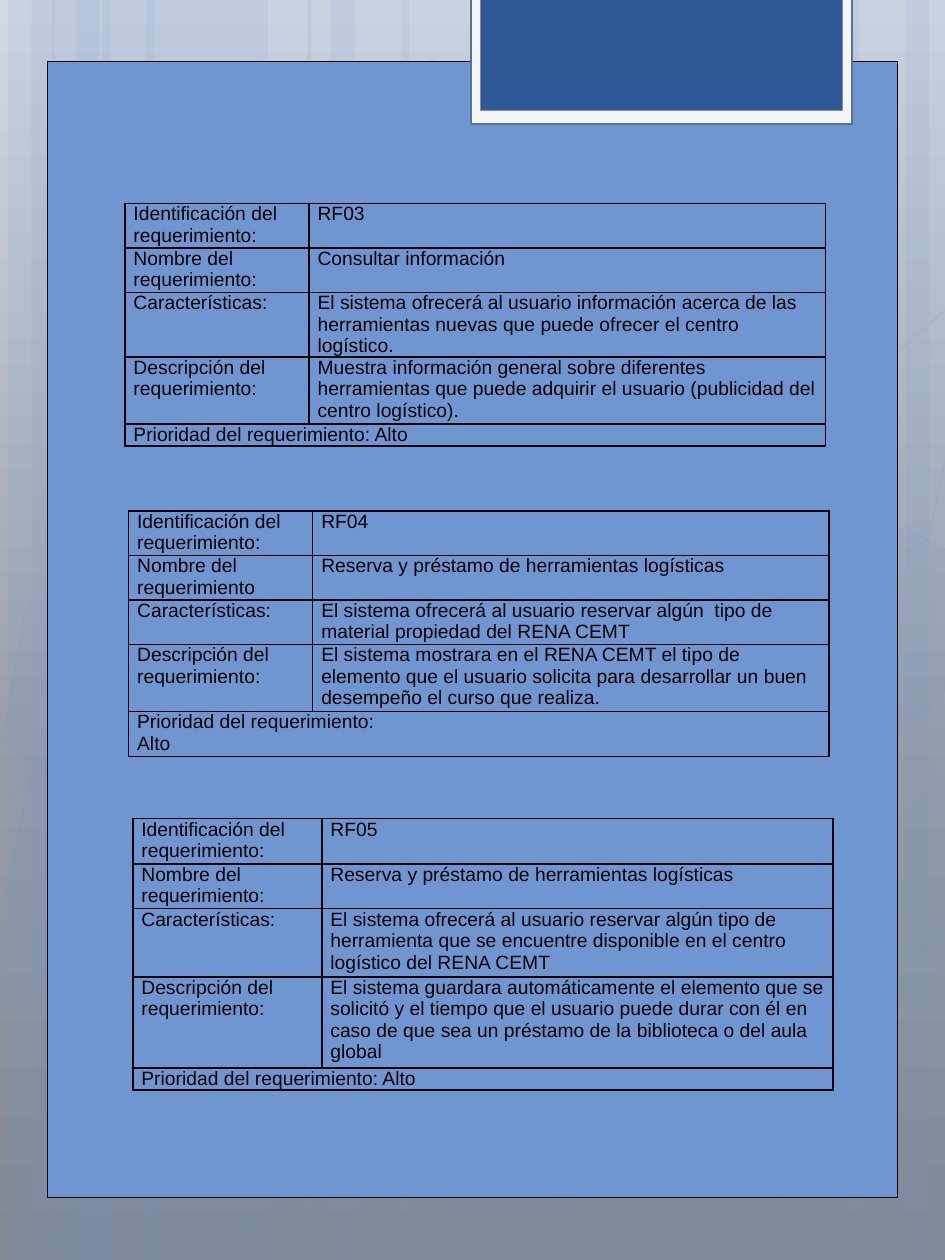
from copy import deepcopy
from lxml import etree
from pptx import Presentation
from pptx.dml.color import RGBColor as Rgb
from pptx.enum.shapes import MSO_SHAPE as Kind
from pptx.oxml import parse_xml
from pptx.oxml.ns import nsdecls, qn
from pptx.util import Pt

THEME = {
    "blue": "7096D2", "navy": "2F5897", "light": "F5F5F5", "slate": "577293",
    "ink": "000000", "font": "Arial", "size": 11,
    "back": [(0, "D2D9E2"), (0.62, "959CA5"), (1, "828992")],
}
WIDE, HIGH = 540, 720

BARS = [
    (58.5, 94.5), (4.5, 27), (18, 45), (83.5, 94.5), (29.7, 27), (43.3, 45),
    (396, 94.5), (517.5, 27), (486, 45), (229.5, 166.5), (175.5, 27), (189, 45),
]
CURVES = [
    [(4, 646), (33, 649), (62, 652), (103, 651), (143, 649), (193, 648), (247, 639),
     (302, 629), (378, 611), (428, 593), (477, 574), (528, 545), (544, 528)],
    [(4, 457), (19, 443), (35, 428), (66, 414), (96, 400), (140, 379), (188, 372),
     (235, 364), (294, 364), (353, 372), (413, 379), (511, 409), (544, 416)],
    [(3, 593), (68, 645), (133, 698), (181, 719)],
    [(4, 555), (21, 565), (37, 576), (69, 591), (101, 606), (148, 629), (192, 646),
     (238, 662), (294, 679), (339, 690), (384, 700), (432, 703), (460, 707),
     (489, 710), (496, 708), (510, 708), (524, 708), (534, 706), (544, 704)],
    [(131, 719), (140, 700), (150, 681), (163, 663), (177, 646), (194, 626), (210, 613),
     (225, 600), (234, 595), (253, 585), (274, 575), (310, 562), (328, 555),
     (347, 549), (351, 549), (367, 546), (384, 544), (410, 541), (429, 540),
     (447, 539), (479, 540), (479, 540), (479, 540), (514, 540), (514, 540),
     (524, 540), (534, 541), (539, 542), (543, 543), (543, 543), (543, 544)],
]
HEXES = [
    (180.7, 33.8, 4, 8), (267.8, 565.2, 6, 12), (5.8, 567.4, 0, 12),
    (7.9, 299.5, 7, 8), (50.4, 433.4, 0, 12), (93.6, 568.1, 0, 12),
    (51.8, 164.2, 0, 12), (406.8, 434.9, 10, 12), (450.7, 569.5, 0, 12),
    (450.7, 301, 7, 8),
]
SHARDS = [
    ([(18, 442), (27, 434), (68, 457), (52, 533), (-5, 584), (-12, 580)], 10),
    ([(500, 480), (557, 430), (560, 431), (531, 575), (526, 579), (484, 555)], 4),
    ([(500, 213), (557, 162), (561, 164), (531, 307), (525, 312), (484, 288)], 0),
]
PANELS = [
    (27, 35, 486, 649.5, "blue", "ink", 0.5),
    (269.3, -2, 217.4, 73, "light", "slate", 1.25),
    (274.5, -2, 207, 65.3, "navy", None, 0),
]
ID, NAME = "Identificación del requerimiento:", "Nombre del requerimiento:"
TRAIT, ABOUT = "Características:", "Descripción del requerimiento:"
RANK = "Prioridad del requerimiento:"
TABLES = [
    (71.4, 116.2, (105.2, 295), (25.5, 25.4, 37, 38.2, 12.6), [
        (ID, "RF03"),
        (NAME, "Consultar información"),
        (TRAIT, "El sistema ofrecerá al usuario información acerca de las "
                "herramientas nuevas que puede ofrecer el centro logístico."),
        (ABOUT, "Muestra información general sobre diferentes herramientas que "
                "puede adquirir el usuario (publicidad del centro logístico)."),
        (RANK + " Alto",)]),
    (73.5, 292, (105.2, 295), (25.4, 25.4, 25.4, 38.4, 25.6), [
        (ID, "RF04"),
        (NAME.rstrip(":"), "Reserva y préstamo de herramientas logísticas"),
        (TRAIT, "El sistema ofrecerá al usuario reservar algún  tipo de "
                "material propiedad del RENA CEMT"),
        (ABOUT, "El sistema mostrara en el RENA CEMT el tipo de elemento que el "
                "usuario solicita para desarrollar un buen desempeño el curso "
                "que realiza."),
        (RANK + "\nAlto",)]),
    (75.9, 467.8, (108, 292.2), (25.8, 25.7, 38.9, 52, 12.8), [
        (ID, "RF05"),
        (NAME, "Reserva y préstamo de herramientas logísticas"),
        (TRAIT, "El sistema ofrecerá al usuario reservar algún tipo de herramienta "
                "que se encuentre disponible en el centro logístico del RENA CEMT"),
        (ABOUT, "El sistema guardara automáticamente el elemento que se solicitó y "
                "el tiempo que el usuario puede durar con él en caso de que sea un "
                "préstamo de la biblioteca o del aula global"),
        (RANK + " Alto",)]),
]


def tint(fill, tone):
    if tone:
        fill.solid()
        fill.fore_color.rgb = Rgb.from_string(THEME[tone])
    else:
        fill.background()


def fade(node, alpha):
    for clr in node.iter(qn("a:srgbClr")):
        clr.append(parse_xml(f'<a:alpha {nsdecls("a")} val="{alpha * 1000}"/>'))


def paint(shape, tone, edge=None, width=0, alpha=100, dim=100):
    shape.shadow.inherit = False
    tint(shape.fill, tone if alpha else None)
    props = shape.element.spPr
    if alpha < 100:
        fade(props, alpha)
    tint(shape.line.fill, edge)
    if edge:
        shape.line.width = Pt(width)
        if dim < 100:
            fade(props.find(qn("a:ln")), dim)


def trace(shapes, pts, close):
    build = shapes.build_freeform(*pts[0], scale=Pt(1))
    build.add_line_segments(pts[1:], close=close)
    return build.convert_to_shape()


def bend(shape):
    route = shape.element.find(".//" + qn("a:path"))
    lines = route.findall(qn("a:lnTo"))
    for i in range(0, len(lines), 3):
        arc = etree.SubElement(route, qn("a:cubicBezTo"))
        for line in lines[i:i + 3]:
            arc.append(line[0])
            route.remove(line)
    return shape


def block(shapes, kind, *box):
    return shapes.add_shape(kind, *map(Pt, box))


def write(cell, text):
    cell.margin_left = cell.margin_right = Pt(4.9)
    cell.margin_top = cell.margin_bottom = 0
    cell.text_frame.text = text
    for para in cell.text_frame.paragraphs:
        for run in para.runs:
            run.font.name, run.font.size = THEME["font"], Pt(THEME["size"])
            run.font.color.rgb = Rgb.from_string(THEME["ink"])


def frame(cell):
    cell.fill.background()
    props = cell._tc.get_or_add_tcPr()
    for i, side in enumerate("LRTB"):
        props.insert(i, parse_xml(
            f'<a:ln{side} {nsdecls("a")} w="{Pt(1)}"><a:solidFill>'
            f'<a:srgbClr val="{THEME["ink"]}"/></a:solidFill></a:ln{side}>'))


def grid(shapes, left, top, cols, rows, data):
    box = map(Pt, (left, top, sum(cols), sum(rows)))
    table = shapes.add_table(len(rows), len(cols), *box).table
    table.first_row = table.horz_banding = False
    for col, size in zip(table.columns, cols):
        col.width = Pt(size)
    for r, (size, texts) in enumerate(zip(rows, data)):
        table.rows[r].height = Pt(size)
        if len(texts) == 1:
            table.cell(r, 0).merge(table.cell(r, 1))
        for c in range(len(cols)):
            frame(table.cell(r, c))
        for c, text in enumerate(texts):
            write(table.cell(r, c), text)


def shade(slide):
    fill = slide.background.fill
    fill.gradient()
    fill.gradient_angle = 270
    stops = slide.element.find(".//" + qn("a:gsLst"))
    stops.insert(1, deepcopy(stops[0]))
    for stop, (pos, tone) in zip(fill.gradient_stops, THEME["back"]):
        stop.position = pos
        stop.color.rgb = Rgb.from_string(tone)


def main():
    deck = Presentation()
    deck.slide_width, deck.slide_height = Pt(WIDE), Pt(HIGH)
    slide = deck.slides.add_slide(deck.slide_layouts[6])
    shapes = slide.shapes
    shade(slide)
    for left, width in BARS:
        paint(block(shapes, Kind.RECTANGLE, left, 0, width, HIGH), "blue", alpha=10)
    for pts in CURVES:
        paint(bend(trace(shapes, pts, False)), None, "blue", 0.5, dim=20)
    for left, top, alpha, dim in HEXES:
        cell = block(shapes, Kind.HEXAGON, left, top, 94.5, 145.5)
        cell.adjustments[0] = 0.285
        cell.rotation = 30
        paint(cell, "blue", "blue", 1, alpha, dim)
    for pts, alpha in SHARDS:
        paint(trace(shapes, pts, True), "blue", "blue", 1, alpha, 12)
    for *box, tone, edge, width in PANELS:
        paint(block(shapes, Kind.RECTANGLE, *box), tone, edge, width)
    for spec in TABLES:
        grid(shapes, *spec)
    deck.save("out.pptx")


if __name__ == "__main__":
    main()
